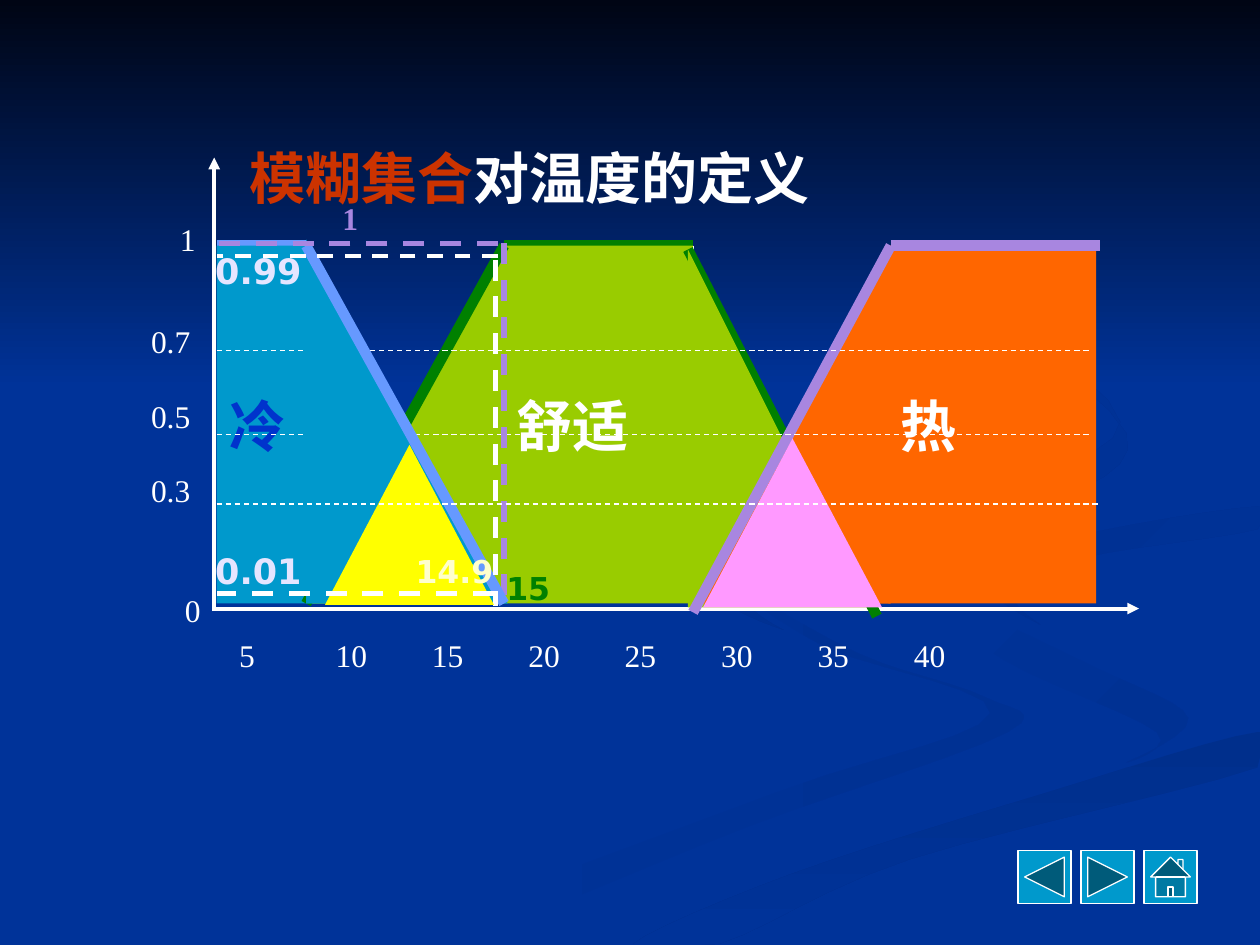
from lxml.etree import SubElement as Sub
from pptx import Presentation
from pptx.dml.color import RGBColor
from pptx.enum.dml import MSO_LINE as Dash
from pptx.enum.shapes import MSO_CONNECTOR as Conn, MSO_SHAPE as Kind
from pptx.enum.text import MSO_ANCHOR as Anchor, MSO_AUTO_SIZE as Fit, PP_ALIGN as Align
from pptx.oxml.ns import qn
from pptx.util import Inches, Pt

SERIF, SANS = "Times New Roman", "DejaVu Sans"
WHITE, BLUE, SKY, TEAL = "FFFFFF", "003399", "6699FF", "0099CC"
GREEN, LIME, LILAC, ORANGE, PALE = "008000", "99CC00", "A886E0", "FF6600", "E5E5FF"
LEFT, COOL, MILD, WARM, HOT = 1.72, 2.43, 4, 5.5, 7.07
TOP, BASE = 1.95, 4.79
HIGH = BASE - TOP
WIDE, TALL = 10, 7.5

CURVES = [
    (BLUE, "003193", 0, [
        (7.81, 5.53), (6.82, 5.19), (5.75, 4.6), (6.54, 5.13), (7.86, 5.66),
        (6.16, 6.29), (3, 7.49), (3.61, 7.49), (5.94, 6.56), (8, 5.81)]),
    (BLUE, "003193", 45, [
        (9.43, 5.7), (8.7, 5.3), (7.24, 4.64), (7.97, 5.24), (9.18, 5.81), (8.94, 6.05)]),
    ("002F8C", BLUE, 90, [
        (5.03, 7.49), (5.71, 7.49), (7.22, 6.82), (9.98, 6.09), (9.98, 5.81),
        (8.31, 6.29), (6.3, 6.93)]),
    ("003091", BLUE, 45, [
        (7.81, 4.6), (8.26, 4.96), (8.05, 4.72), (8.59, 4.43), (9.98, 4.2),
        (9.98, 4.02), (8.49, 4.27)]),
    ("002F8E", BLUE, 45, [
        (6.83, 4.3), (8.25, 4.02), (8.94, 3.44), (7.62, 2.33), (8.89, 3.35),
        (7.63, 3.98), (5.77, 4.62), (6.22, 5), (5.93, 4.7)]),
]


def tint(code):
    return RGBColor.from_string(code)


def paint(fill, code):
    fill.solid()
    fill.fore_color.rgb = tint(code)


def fade(shape, first, last, turn):
    shape.shadow.inherit = False
    shape.line.fill.background()
    shape.fill.gradient()
    shape.fill.gradient_angle = -turn % 360
    for stop, code, place in zip(shape.fill.gradient_stops, (first, last), (0, 1)):
        stop.color.rgb = tint(code)
        stop.position = place


def blend(a, b, c, d, t):
    return b + t * (c - a + t * (2 * a - 5 * b + 4 * c - d + t * (3 * (b - c) + d - a))) / 2


def smooth(points, steps=6):
    count = len(points)
    for i in range(count):
        near = [points[(i + k) % count] for k in (-1, 0, 1, 2)]
        for step in range(steps):
            x, y = (blend(*axis, step / steps) for axis in zip(*near))
            yield Inches(min(x, WIDE)), Inches(min(y, TALL))


def curve(slide, first, last, turn, points):
    spots = list(smooth(points))
    pen = slide.shapes.build_freeform(*spots[0], scale=1.0)
    pen.add_line_segments(spots[1:], close=True)
    fade(pen.convert_to_shape(), first, last, turn)


def write(para, words, size, code, bold=False, font=SERIF):
    run = para.add_run()
    run.text = words
    run.font.size = Pt(size)
    run.font.bold = bold
    run.font.name = font
    run.font.color.rgb = tint(code)


def label(slide, words, x, y, wide, code=WHITE, size=18, bold=False, font=SERIF):
    box = slide.shapes.add_textbox(Inches(x), Inches(y), Inches(wide), Inches(0.4))
    box.text_frame.word_wrap = False
    write(box.text_frame.paragraphs[0], words, size, code, bold, font)


def block(slide, kind, x, y, wide, high, code, flip=False):
    shape = slide.shapes.add_shape(kind, Inches(x), Inches(y), Inches(wide), Inches(high))
    shape.shadow.inherit = False
    paint(shape.fill, code)
    shape.line.fill.background()
    if flip:
        shape._element.spPr.xfrm.set("flipH", "1")
    return shape


def zone(slide, words, x, wide, code, ink):
    shape = block(slide, Kind.RECTANGLE, x, TOP, wide, HIGH, code)
    frame = shape.text_frame
    frame.word_wrap = False
    frame.vertical_anchor = Anchor.MIDDLE
    frame.paragraphs[0].alignment = Align.LEFT
    write(frame.paragraphs[0], words, 32, ink, True, SANS)


def line(slide, x1, y1, x2, y2, code, width=6, dash=False, arrow=False):
    link = slide.shapes.add_connector(
        Conn.STRAIGHT, Inches(x1), Inches(y1), Inches(x2), Inches(y2))
    link.line.width = Pt(width)
    link.line.color.rgb = tint(code)
    if dash:
        link.line.dash_style = Dash.DASH
    if arrow:
        Sub(link.line._get_or_add_ln(), qn("a:tailEnd"), type="triangle")
    Sub(link._element.spPr, qn("a:effectLst"))


def button(slide, kind, x):
    shape = block(slide, kind, x, 6.75, 0.42, 0.42, TEAL)
    paint(shape.line.fill, WHITE)
    shape.line.width = Pt(0.75)


def scene(slide):
    paint(slide.background.fill, BLUE)
    for item in CURVES:
        curve(slide, *item)
    fade(block(slide, Kind.RECTANGLE, 0, 0, WIDE, 3.08, BLUE), "000514", BLUE, 90)
    kinds = (Kind.ACTION_BUTTON_BACK_OR_PREVIOUS, Kind.ACTION_BUTTON_FORWARD_OR_NEXT,
             Kind.ACTION_BUTTON_HOME)
    for step, kind in enumerate(kinds):
        button(slide, kind, 8.08 + step / 2)


def heading(slide):
    title = slide.shapes.title
    slide.shapes._spTree.append(title._element)
    title.left, title.top = Inches(1.88), Inches(1.09)
    title.width, title.height = Inches(4.8), Inches(0.63)
    frame = title.text_frame
    frame.auto_size = Fit.NONE
    frame.vertical_anchor = Anchor.TOP
    para = frame.paragraphs[0]
    para.alignment = Align.LEFT
    write(para, "模糊集合", 32, "CC3300", True)
    write(para, "对温度的定义", 32, WHITE, True)


def axes(slide):
    line(slide, 1.7, 4.85, 1.7, 1.25, WHITE, 2.25, arrow=True)
    line(slide, 1.7, 4.83, 9.04, 4.83, WHITE, 2.25, arrow=True)
    for step in range(8):
        label(slide, str(5 * step + 5), 1.8 + 0.765 * step, 5, 0.53)
    for step, mark in enumerate(("0.7", "0.5", "0.3")):
        label(slide, mark, 1.1, 2.51 + 0.59 * step, 0.62)
    label(slide, "0", 1.37, 4.64, 0.37)
    label(slide, "1", 1.33, 1.7, 0.37)


def graph(slide):
    for x in (MILD, WARM):
        line(slide, x, TOP, x, BASE, WHITE, 0.75, dash=True)
    line(slide, COOL, TOP, LEFT, TOP, SKY)
    line(slide, MILD, TOP, WARM, TOP, GREEN)
    zone(slide, "舒适", MILD, WARM - MILD, LIME, WHITE)
    zone(slide, "冷", LEFT, COOL - LEFT, TEAL, "0033CC")
    zone(slide, "热", 7.05, 1.65, ORANGE, WHITE)
    line(slide, HOT, TOP, 8.73, TOP, LILAC)
    line(slide, 5.46, 1.98, 6.96, 4.89, GREEN)
    block(slide, Kind.RIGHT_TRIANGLE, 5.46, 1.98, 1.42, HIGH, LIME)
    block(slide, Kind.RIGHT_TRIANGLE, COOL, TOP, MILD - COOL, HIGH, LIME, flip=True)
    line(slide, MILD, TOP, COOL, BASE, GREEN)
    block(slide, Kind.RIGHT_TRIANGLE, WARM, TOP, HOT - WARM, HIGH, ORANGE, flip=True)
    line(slide, WARM, 4.86, HOT, TOP, LILAC)
    for y in (3.45, 2.78):
        line(slide, LEFT, y, 8.65, y, WHITE, 0.75, dash=True)
    label(slide, "15", 3.92, 4.47, 0.56, GREEN, 18, True, SANS)
    block(slide, Kind.ISOSCELES_TRIANGLE, 5.58, 3.48, 1.42, 1.34, "FF99FF")
    line(slide, MILD, 1.93, MILD, 4.85, LILAC, 3, dash=True)
    block(slide, Kind.RIGHT_TRIANGLE, COOL, 1.9, 1.6, 2.89, TEAL)
    line(slide, COOL, TOP, MILD, BASE, SKY)


def guides(slide):
    line(slide, 3.93, 2.06, 3.93, 4.81, WHITE, 3, dash=True)
    for y, code, width in ((2.03, WHITE, 2.25), (1.93, LILAC, 3)):
        line(slide, 3.95, y, LEFT, y, code, width, dash=True)
    block(slide, Kind.ISOSCELES_TRIANGLE, 2.58, 3.53, 1.34, 1.27, "FFFF00")
    label(slide, "0.99", 1.61, 1.93, 0.9, PALE, 20, True, SANS)
    label(slide, "1", 2.62, 1.53, 0.37, LILAC, 18, True)
    line(slide, 3.92, 4.71, LEFT, 4.71, WHITE, 3, dash=True)
    label(slide, "0.01", 1.61, 4.31, 0.9, PALE, 20, True, SANS)
    label(slide, "14.9", 3.2, 4.33, 0.82, "FFFFCC", 18, True, SANS)
    line(slide, LEFT, 4, 8.73, 4, WHITE, 0.75, dash=True)


def main():
    deck = Presentation()
    deck.slide_width, deck.slide_height = Inches(WIDE), Inches(TALL)
    slide = deck.slides.add_slide(deck.slide_layouts[5])
    for draw in (scene, heading, axes, graph, guides):
        draw(slide)
    deck.save("out.pptx")


if __name__ == "__main__":
    main()
